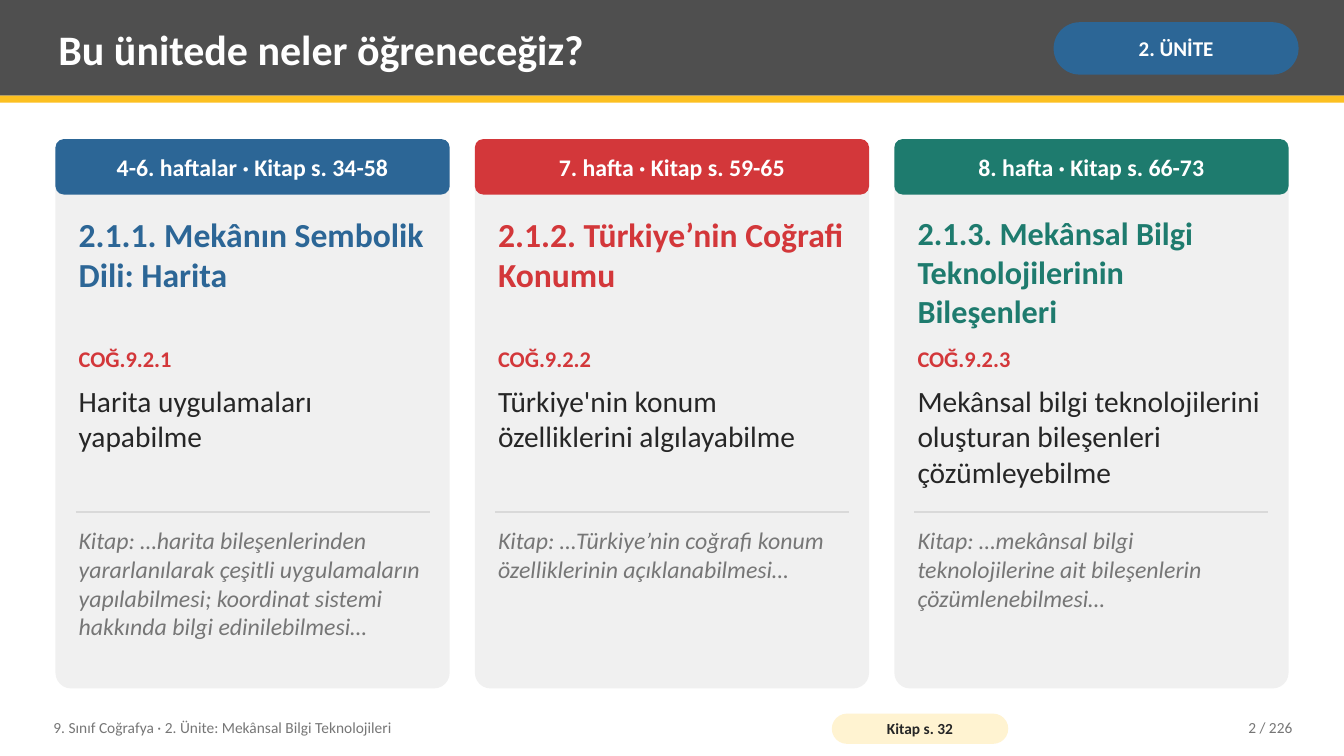
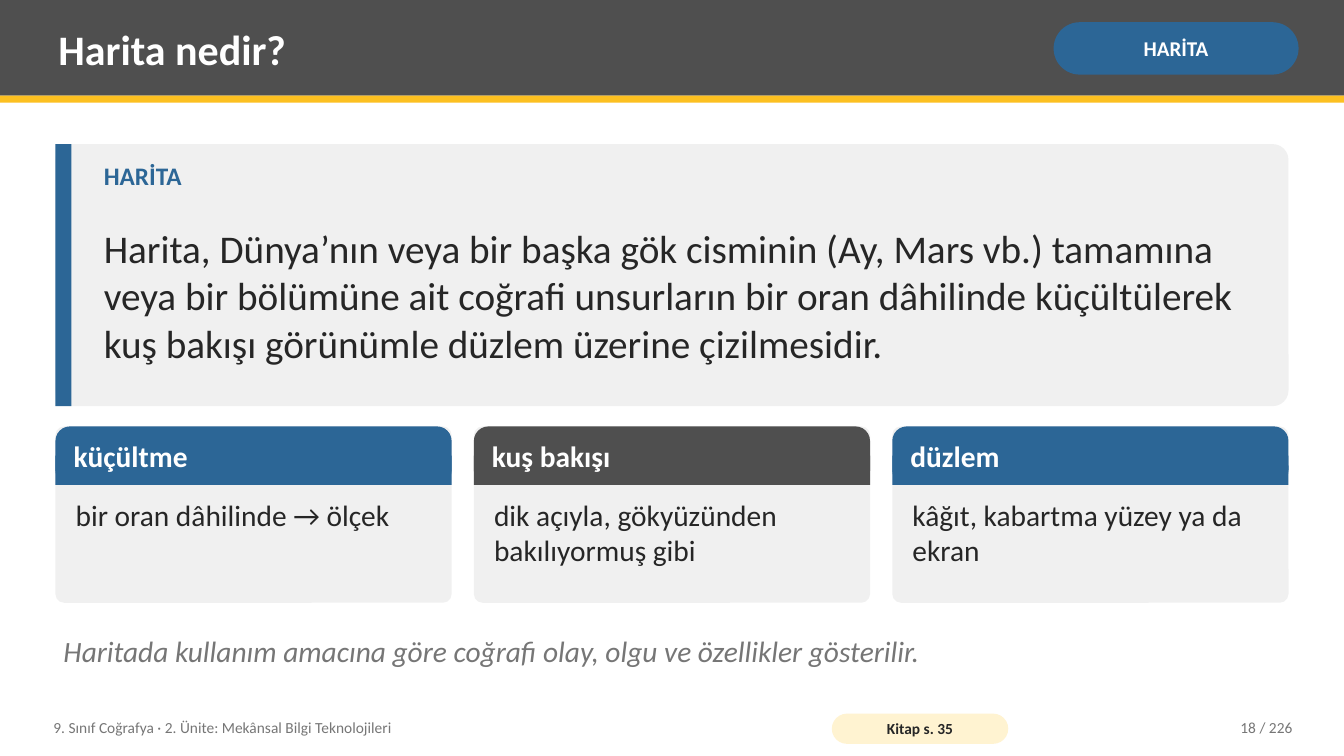
from collections import namedtuple

from lxml import etree
from pptx import Presentation
from pptx import util as u
from pptx.dml import color
from pptx.enum import shapes, text
from pptx.oxml import ns

SCALE = 9144
FONT = "Calibri"
SLIDE_WIDTH, SLIDE_HEIGHT = 1333, 750
MARGIN, CONTENT_WIDTH = 55, 1223
COLORS = {
    "white": "FFFFFF",
    "ink": "262626",
    "charcoal": "4F4F4F",
    "muted": "767676",
    "rule": "D9D9D9",
    "card": "F0F0F0",
    "amber": "FCC021",
    "cream": "FFF3D1",
    "blue": "2C6696",
    "red": "D3373A",
    "green": "1E7B6E",
}
COURSE = "9. Sınıf Coğrafya · 2. Ünite: Mekânsal Bilgi Teknolojileri"
SLIDE_COUNT = 226
RECTANGLE = shapes.MSO_SHAPE.RECTANGLE
ROUNDED = shapes.MSO_SHAPE.ROUNDED_RECTANGLE
LEFT, CENTER, RIGHT = text.PP_ALIGN.LEFT, text.PP_ALIGN.CENTER, text.PP_ALIGN.RIGHT
TOP, MIDDLE = text.MSO_ANCHOR.TOP, text.MSO_ANCHOR.MIDDLE

Box = namedtuple("Box", "left top width height")

UNITS = [
    ("4-6. haftalar · Kitap s. 34-58", "blue", 24,
     "2.1.1. Mekânın Sembolik Dili: Harita", "COĞ.9.2.1",
     "Harita uygulamaları yapabilme",
     "Kitap: …harita bileşenlerinden yararlanılarak çeşitli uygulamaların "
     "yapılabilmesi; koordinat sistemi hakkında bilgi edinilebilmesi…"),
    ("7. hafta · Kitap s. 59-65", "red", 24,
     "2.1.2. Türkiye’nin Coğrafi Konumu", "COĞ.9.2.2",
     "Türkiye'nin konum özelliklerini algılayabilme",
     "Kitap: …Türkiye’nin coğrafi konum özelliklerinin açıklanabilmesi…"),
    ("8. hafta · Kitap s. 66-73", "green", 23,
     "2.1.3. Mekânsal Bilgi Teknolojilerinin Bileşenleri", "COĞ.9.2.3",
     "Mekânsal bilgi teknolojilerini oluşturan bileşenleri çözümleyebilme",
     "Kitap: …mekânsal bilgi teknolojilerine ait bileşenlerin çözümlenebilmesi…"),
]
DEFINITION = (
    "Harita, Dünya’nın veya bir başka gök cisminin (Ay, Mars vb.) tamamına "
    "veya bir bölümüne ait coğrafi unsurların bir oran dâhilinde küçültülerek "
    "kuş bakışı görünümle düzlem üzerine çizilmesidir."
)
CONCEPTS = [
    ("küçültme", "blue", "bir oran dâhilinde → ölçek"),
    ("kuş bakışı", "charcoal", "dik açıyla, gökyüzünden bakılıyormuş gibi"),
    ("düzlem", "blue", "kâğıt, kabartma yüzey ya da ekran"),
]


def px(value):
    return u.Emu(round(value * SCALE))


def rgb(name):
    return color.RGBColor.from_string(COLORS[name])


def place(box):
    return [px(value) for value in box]


def columns(box, count, gap):
    width = (box.width - gap * (count - 1)) // count
    return [Box(box.left + index * (width + gap), box.top, width, box.height)
            for index in range(count)]


def write(shape, words, size, tone, bold=False, italic=False,
          align=LEFT, anchor=TOP, insets=(8, 4)):
    frame = shape.text_frame
    frame.text = words
    frame.word_wrap = True
    frame.auto_size = text.MSO_AUTO_SIZE.NONE
    frame.vertical_anchor = anchor
    frame.margin_left = frame.margin_right = px(insets[0])
    frame.margin_top = frame.margin_bottom = px(insets[1])
    paragraph = frame.paragraphs[0]
    paragraph.alignment = align
    font = paragraph.runs[0].font
    font.name = FONT
    font.size = u.Pt(size)
    font.bold = bold
    font.italic = italic
    font.color.rgb = rgb(tone)


def add_text(slide, box, words, size, tone, **style):
    write(slide.shapes.add_textbox(*place(box)), words, size, tone, **style)


def add_block(slide, box, fill, radius=None):
    kind = RECTANGLE if radius is None else ROUNDED
    shape = slide.shapes.add_shape(kind, *place(box))
    if radius is not None:
        shape.adjustments[0] = radius
    shape.shadow.inherit = False
    shape.fill.solid()
    shape.fill.fore_color.rgb = rgb(fill)
    shape.line.fill.background()
    return shape


def add_rule(slide, left, top, width):
    line = slide.shapes.add_connector(
        shapes.MSO_CONNECTOR.STRAIGHT, px(left), px(top), px(left + width), px(top))
    line.line.color.rgb = rgb("rule")
    line.line.width = u.Pt(1)
    etree.SubElement(line.element.spPr, ns.qn("a:effectLst"))


def add_header(slide, box, heading, label):
    add_block(slide, box, "charcoal")
    add_block(slide, Box(box.left, box.top + box.height, box.width, 7), "amber")
    title = slide.shapes.title
    title.left, title.top, title.width, title.height = place(
        Box(box.left + 50, box.top + 7, 975, 82))
    title.element.getparent().append(title.element)
    write(title, heading, 30, "white", bold=True, anchor=MIDDLE)
    badge = add_block(slide, Box(box.left + 1045, box.top + 22, 243, 52), "blue", 0.5)
    write(badge, label, 15, "white", bold=True, align=CENTER, anchor=MIDDLE, insets=(5, 2))


def add_footer(slide, box, book_page, number):
    add_text(slide, Box(box.left, box.top, 760, box.height), COURSE, 11, "muted",
             anchor=MIDDLE)
    pill = add_block(slide, Box(box.left + 780, box.top + 4, 175, 30), "cream", 0.5)
    write(pill, f"Kitap s. {book_page}", 11, "ink", bold=True, align=CENTER,
          anchor=MIDDLE, insets=(4, 0))
    add_text(slide, Box(box.left + box.width - 160, box.top, 160, box.height),
             f"{number} / {SLIDE_COUNT}", 11, "muted", align=RIGHT, anchor=MIDDLE)


def add_framed_slide(presentation, heading, label, book_page, number):
    slide = presentation.slides.add_slide(presentation.slide_layouts[5])
    add_header(slide, Box(0, 0, SLIDE_WIDTH, 95), heading, label)
    add_footer(slide, Box(45, 704, 1245, 36), book_page, number)
    return slide


def add_unit_card(slide, box, weeks, tone, size, heading, code, outcome, quote):
    add_block(slide, box, "card", 0.04)
    tab = add_block(slide, box._replace(height=55), tone, 0.15)
    write(tab, weeks, 17, "white", bold=True, align=CENTER, anchor=MIDDLE, insets=(14, 8))

    def row(offset, height):
        return Box(box.left + 15, box.top + offset, box.width - 30, height)

    add_text(slide, row(70, 125), heading, size, tone, bold=True)
    add_text(slide, row(200, 40), code, 16, "red", bold=True)
    add_text(slide, row(238, 125), outcome, 21, "ink")
    add_rule(slide, box.left + 20, box.top + 370, box.width - 40)
    add_text(slide, row(380, 155), quote, 17, "muted", italic=True)


def add_definition(slide, box, term, definition):
    add_block(slide, box, "card", 0.06)
    add_block(slide, box._replace(width=16), "blue")
    inner = Box(box.left + 40, box.top + 12, box.width - 60, 45)
    add_text(slide, inner, term, 18, "blue", bold=True)
    add_text(slide, inner._replace(top=box.top + 55, height=190), definition, 28, "ink",
             anchor=MIDDLE)


def add_concept_card(slide, box, heading, tone, body):
    header = box._replace(height=58)
    add_block(slide, box, "card", 0.05)
    add_block(slide, header, tone, 0.25)
    add_block(slide, header._replace(top=box.top + 29, height=29), tone)
    add_text(slide, header._replace(left=box.left + 10, width=box.width - 20), heading,
             21, "white", bold=True, anchor=MIDDLE)
    add_text(slide, Box(box.left + 12, box.top + 66, box.width - 24, box.height - 74),
             body, 21, "ink")


def build_outline(presentation):
    slide = add_framed_slide(presentation, "Bu ünitede neler öğreneceğiz?",
                             "2. ÜNİTE", 32, 2)
    area = Box(MARGIN, 138, CONTENT_WIDTH, 545)
    for box, unit in zip(columns(area, len(UNITS), 25), UNITS):
        add_unit_card(slide, box, *unit)


def build_definition(presentation):
    slide = add_framed_slide(presentation, "Harita nedir?", "HARİTA", 35, 18)
    add_definition(slide, Box(MARGIN, 143, CONTENT_WIDTH, 260), "HARİTA", DEFINITION)
    area = Box(MARGIN, 423, CONTENT_WIDTH, 175)
    for box, concept in zip(columns(area, len(CONCEPTS), 22), CONCEPTS):
        add_concept_card(slide, box, *concept)
    add_text(slide, Box(MARGIN, 613, CONTENT_WIDTH, 65),
             "Haritada kullanım amacına göre coğrafi olay, olgu ve özellikler gösterilir.",
             21, "muted", italic=True, anchor=MIDDLE)


def main():
    presentation = Presentation()
    presentation.slide_width = px(SLIDE_WIDTH)
    presentation.slide_height = px(SLIDE_HEIGHT)
    build_outline(presentation)
    build_definition(presentation)
    presentation.save("out.pptx")


if __name__ == "__main__":
    main()
